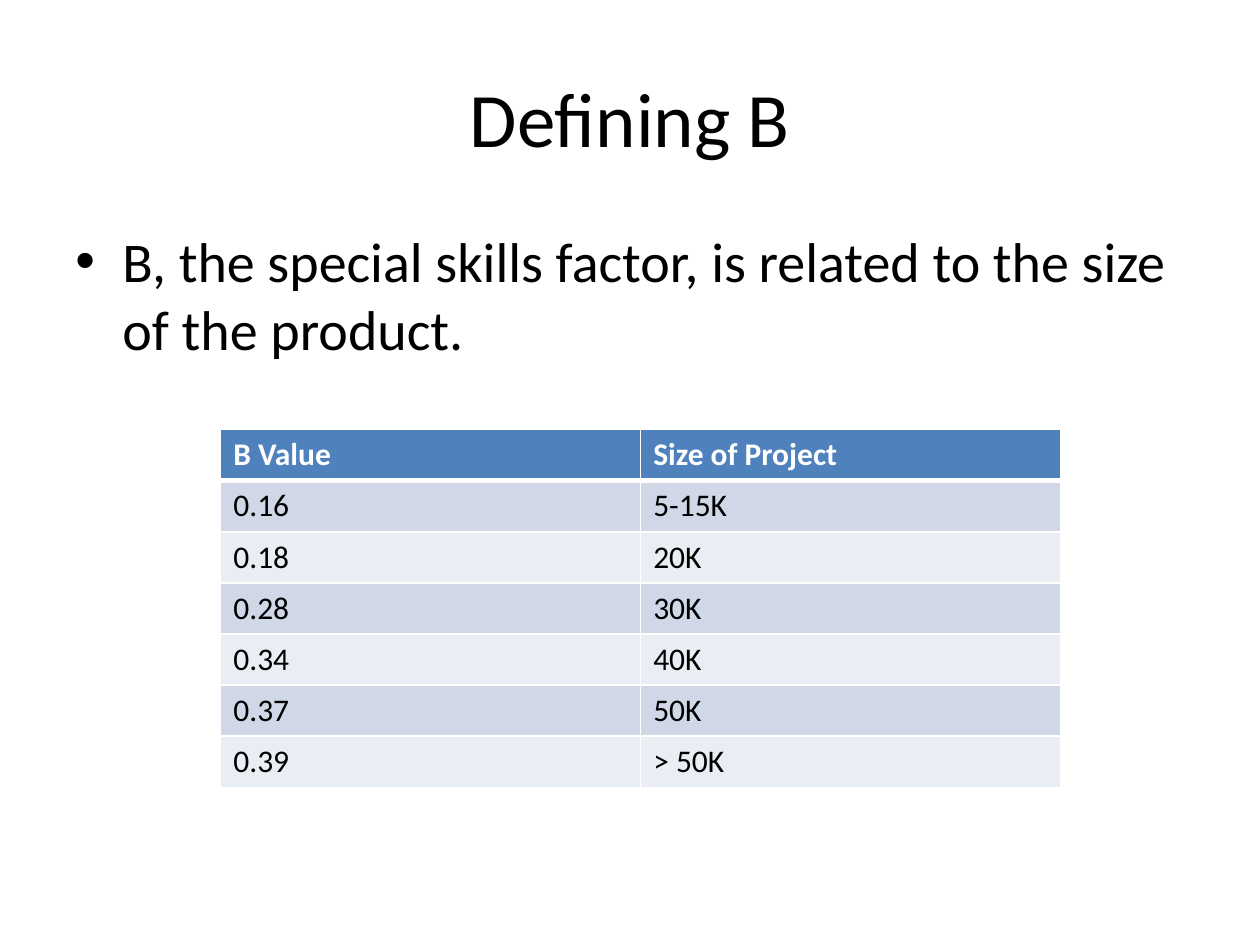
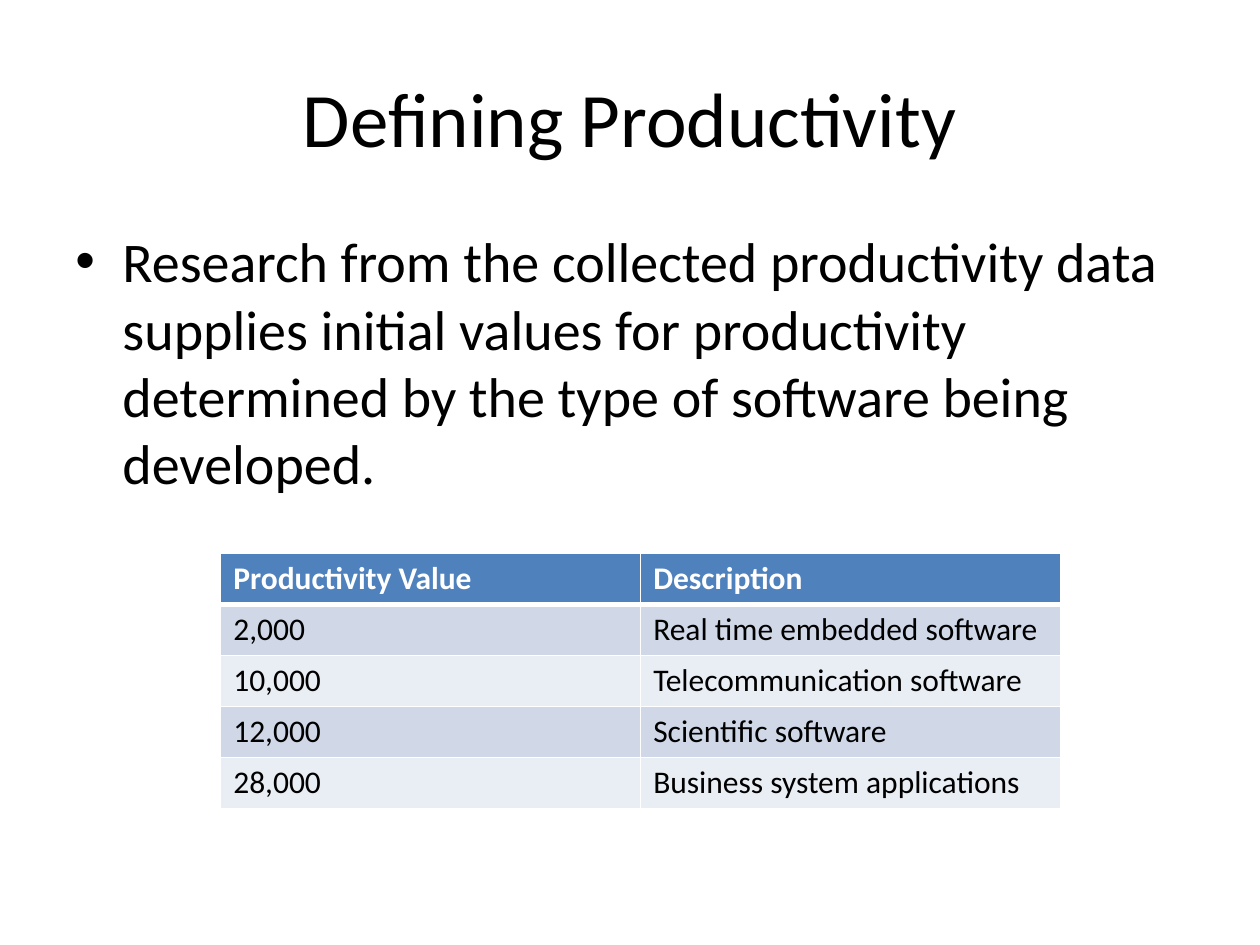
from lxml.etree import SubElement
from pptx import Presentation
from pptx.dml.color import RGBColor as RGB
from pptx.enum.text import MSO_ANCHOR as ANCHOR, PP_ALIGN as ALIGN
from pptx.oxml.ns import qn
from pptx.util import Cm, Pt

FONT = "Calibri"
COLORS = {
    "text": "000000",
    "paper": "FFFFFF",
    "header": "4F81BD",
    "odd_row": "D0D8E8",
    "even_row": "E9EDF4",
}
TITLE_BOX = (1.27, 0.76, 22.86, 3.18)
BODY_BOX = (1.27, 4.45, 22.86, 12.57)
TABLE_LEFT, TABLE_WIDTH, ROW_HEIGHT = 4.45, 16.93, 1.03
INDENT = Cm(0.95)

SLIDES = [
    {
        "title": "Defining B",
        "body": "B, the special skills factor, is related to the size of the product.",
        "table_top": 8.66,
        "rows": [
            ("B Value", "Size of Project"),
            ("0.16", "5-15K"),
            ("0.18", "20K"),
            ("0.28", "30K"),
            ("0.34", "40K"),
            ("0.37", "50K"),
            ("0.39", "> 50K"),
        ],
    },
    {
        "title": "Defining Productivity",
        "body": "Research from the collected productivity data supplies initial values "
                "for productivity determined by the type of software being developed.",
        "table_top": 11.15,
        "rows": [
            ("Productivity Value", "Description"),
            ("2,000", "Real time embedded software"),
            ("10,000", "Telecommunication software"),
            ("12,000", "Scientific software"),
            ("28,000", "Business system applications"),
        ],
    },
]


def add_run(p, text, size, color="text", bold=False):
    r = p.add_run()
    r.text = text
    r.font.name = FONT
    r.font.size = Pt(size)
    r.font.bold = bold
    r.font.color.rgb = RGB.from_string(COLORS[color])


def add_text_box(slide, box, anchor):
    tf = slide.shapes.add_textbox(*map(Cm, box)).text_frame
    tf.word_wrap = True
    tf.vertical_anchor = anchor
    return tf.paragraphs[0]


def add_title(slide, box, text):
    p = add_text_box(slide, box, ANCHOR.MIDDLE)
    p.alignment = ALIGN.CENTER
    add_run(p, text, 44)


def add_bullet(slide, box, text):
    p = add_text_box(slide, box, ANCHOR.TOP)
    pPr = p._p.get_or_add_pPr()
    pPr.set("marL", str(INDENT))
    pPr.set("indent", str(-INDENT))
    spacing = SubElement(pPr, qn("a:spcBef"))
    SubElement(spacing, qn("a:spcPct"), val="20000")
    SubElement(pPr, qn("a:buFont"), typeface="Arial")
    SubElement(pPr, qn("a:buChar"), char="•")
    add_run(p, text, 32)


def set_borders(cell, bottom):
    tcPr = cell._tc.get_or_add_tcPr()
    for side, width in (("L", 1), ("R", 1), ("T", 1), ("B", bottom)):
        line = SubElement(tcPr, qn(f"a:ln{side}"), w=str(Pt(width)))
        fill = SubElement(line, qn("a:solidFill"))
        SubElement(fill, qn("a:srgbClr"), val=COLORS["paper"])


def add_value_table(slide, box, rows):
    frame = slide.shapes.add_table(len(rows), len(rows[0]), *map(Cm, box))
    table = frame.table
    for row in table.rows:
        row.height = Cm(ROW_HEIGHT)
    for i, values in enumerate(rows):
        is_header = i == 0
        fill = "header" if is_header else "odd_row" if i % 2 else "even_row"
        for j, value in enumerate(values):
            cell = table.cell(i, j)
            set_borders(cell, 3 if is_header else 1)
            cell.fill.solid()
            cell.fill.fore_color.rgb = RGB.from_string(COLORS[fill])
            add_run(cell.text_frame.paragraphs[0], value, 18,
                    "paper" if is_header else "text", is_header)


def add_definition_slide(prs, title, body, table_top, rows):
    slide = prs.slides.add_slide(prs.slide_layouts[6])
    add_title(slide, TITLE_BOX, title)
    add_bullet(slide, BODY_BOX, body)
    table_box = (TABLE_LEFT, table_top, TABLE_WIDTH, ROW_HEIGHT * len(rows))
    add_value_table(slide, table_box, rows)


def main():
    prs = Presentation()
    prs.slide_width, prs.slide_height = Cm(25.4), Cm(19.05)
    for content in SLIDES:
        add_definition_slide(prs, **content)
    prs.save("out.pptx")


if __name__ == "__main__":
    main()
